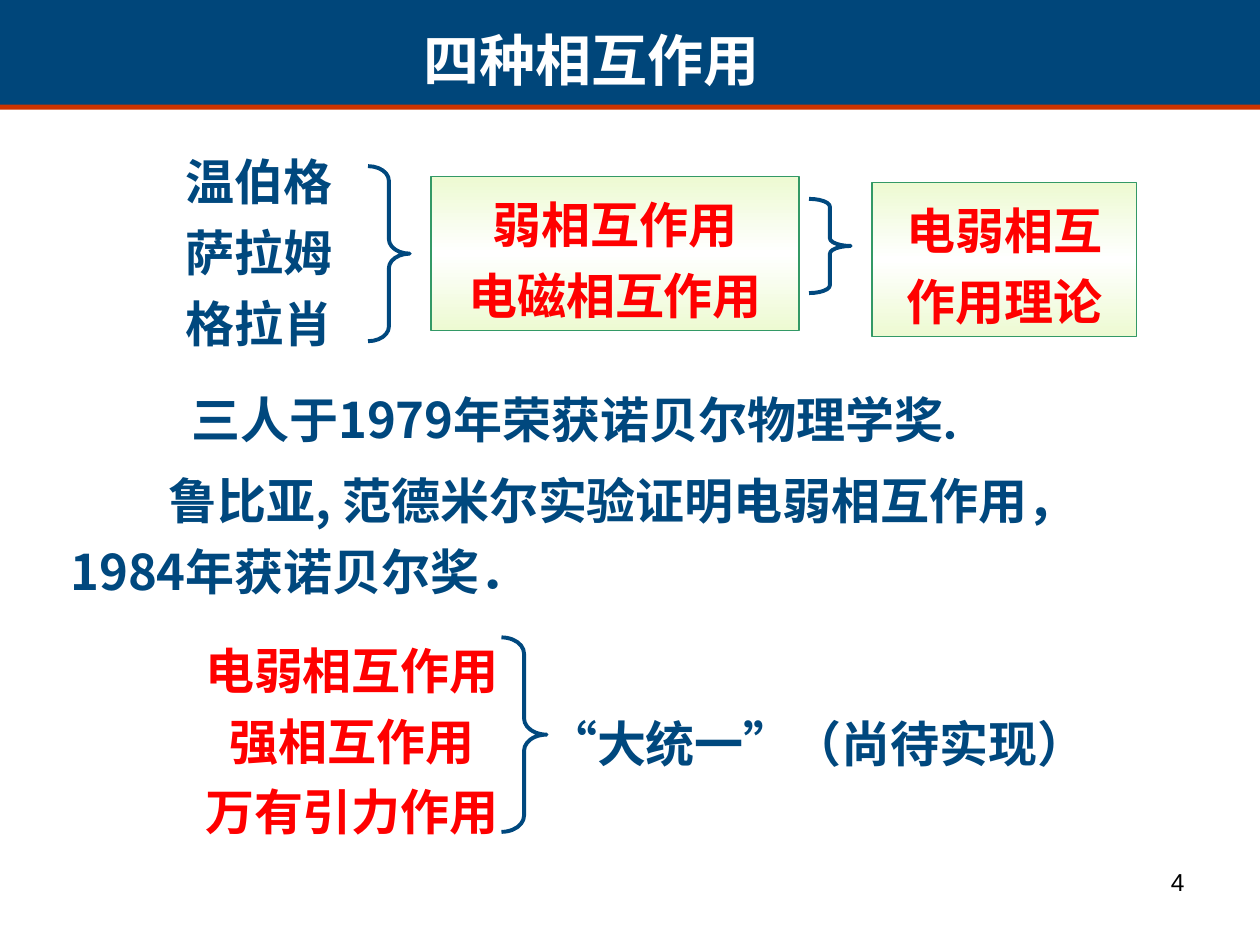
from dataclasses import dataclass
from typing import Optional

from lxml import etree
from pptx import Presentation
from pptx import util as u
from pptx.dml.color import RGBColor
from pptx.enum import shapes, text
from pptx.oxml import ns

NAVY, RED, WHITE, BLACK = "00487E", "FF0000", "FFFFFF", "000000"
PALE, GREEN = "EDFAD2", "339966"
CJK, LATIN_SERIF, LATIN_SANS = "Noto Sans CJK SC", "Times New Roman", "Arial"
LEFT, CENTER, RIGHT = text.PP_ALIGN.LEFT, text.PP_ALIGN.CENTER, text.PP_ALIGN.RIGHT


@dataclass
class Box:
    """Position and size in centimetres."""
    x: float
    y: float
    w: float
    h: float

    def emu(self) -> tuple:
        return tuple(u.Cm(v) for v in (self.x, self.y, self.w, self.h))


@dataclass
class Run:
    text: str
    font: str = CJK


@dataclass
class Block:
    """Paragraphs, each a list of runs, sharing one style."""
    box: Box
    paragraphs: list
    color: str = NAVY
    align: text.PP_ALIGN = LEFT
    size: float = 28
    bold: bool = True
    spacing: Optional[float] = 1.2
    before: float = 0
    inset: bool = True
    indent: float = 0
    framed: bool = False


def rgb(value: str) -> RGBColor:
    return RGBColor.from_string(value)


def lines(*texts: str) -> list:
    return [[Run(t)] for t in texts]


def add_bar(s, box: Box, color: str) -> None:
    sp = s.shapes.add_shape(shapes.MSO_SHAPE.RECTANGLE, *box.emu())
    sp.shadow.inherit = False
    sp.fill.solid()
    sp.fill.fore_color.rgb = rgb(color)
    sp.line.fill.background()


def add_frame(s, box: Box):
    """Green-edged rectangle shading from pale green to white and back."""
    sp = s.shapes.add_shape(shapes.MSO_SHAPE.RECTANGLE, *box.emu())
    sp.shadow.inherit = False
    sp.line.color.rgb = rgb(GREEN)
    sp.line.width = u.Pt(0.75)
    sp.fill.gradient()
    sp.fill.gradient_angle = 270
    stops = sp._element.spPr.find(ns.qn("a:gradFill")).find(ns.qn("a:gsLst"))
    for stop in list(stops):
        stops.remove(stop)
    for percent, color in ((0, PALE), (50, WHITE), (100, PALE)):
        stop = etree.SubElement(stops, ns.qn("a:gs"), pos=str(percent * 1000))
        etree.SubElement(stop, ns.qn("a:srgbClr"), val=color)
    return sp


def add_brace(s, box: Box) -> None:
    """Right brace whose curls are a twelfth of its height."""
    sp = s.shapes.add_shape(shapes.MSO_SHAPE.RIGHT_BRACE, *box.emu())
    sp.shadow.inherit = False
    sp.adjustments[0] = box.h / box.w / 12
    sp.adjustments[1] = 0.5
    sp.fill.background()
    sp.line.color.rgb = rgb(NAVY)
    sp.line.width = u.Pt(2.25)


def add_run(p, run: Run, block: Block) -> None:
    r = p.add_run()
    r.text = run.text
    r.font.size = u.Pt(block.size)
    r.font.bold = block.bold
    r.font.color.rgb = rgb(block.color)
    r.font.name = run.font
    latin = r.font._element.find(ns.qn("a:latin"))
    east_asian = etree.Element(ns.qn("a:ea"), typeface=run.font)
    latin.addnext(east_asian)


def add_block(s, block: Block) -> None:
    sp = add_frame(s, block.box) if block.framed else s.shapes.add_textbox(*block.box.emu())
    tf = sp.text_frame
    tf.word_wrap = True
    tf.vertical_anchor = text.MSO_ANCHOR.TOP
    if not block.inset:
        tf.margin_left = tf.margin_right = tf.margin_top = tf.margin_bottom = 0
    for i, runs in enumerate(block.paragraphs):
        p = tf.add_paragraph() if i else tf.paragraphs[0]
        p.alignment = block.align
        if block.spacing:
            p.line_spacing = block.spacing
        p.space_before = u.Pt(block.before)
        if block.indent:
            p._p.get_or_add_pPr().set("indent", str(u.Cm(block.indent)))
        for run in runs:
            add_run(p, run, block)


BARS = [(Box(0, 2, 25.4, 0.21), "CC3300"), (Box(0, 0, 25.4, 2.11), "00467A")]

BRACES = [
    Box(7.42, 3.35, 0.84, 3.53),
    Box(16.31, 4.01, 0.84, 1.9),
    Box(10.11, 12.85, 0.91, 3.92),
]

BLOCKS = [
    Block(Box(2.74, 0.38, 18.39, 1.63), lines("四种相互作用"), WHITE, CENTER,
          size=32, spacing=None, before=20),
    Block(Box(3.5, 2.7, 5.08, 4.52), lines("温伯格", "萨拉姆", "格拉肖")),
    Block(Box(8.69, 3.56, 7.42, 3.1), lines("弱相互作用", "电磁相互作用"),
          RED, CENTER, framed=True),
    Block(Box(17.58, 3.68, 5.33, 3.1), lines("电弱相互", "作用理论"),
          RED, CENTER, framed=True),
    Block(Box(3.61, 7.49, 19.3, 1.68),
          [[Run("三人于1979年荣获诺贝尔物理学奖"), Run("．", LATIN_SERIF)]]),
    Block(Box(1.42, 9.25, 21, 2.84),
          lines("鲁比亚, 范德米尔实验证明电弱相互作用，1984年获诺贝尔奖．"),
          inset=False, indent=1.98),
    Block(Box(2.97, 12.55, 8.25, 4.52),
          lines("电弱相互作用", "强相互作用", "万有引力作用"), RED, CENTER),
    Block(Box(11.05, 14.15, 12.8, 1.42), lines("“大统一”（尚待实现）"), inset=False),
    Block(Box(18.21, 17.35, 5.92, 1.32), [[Run("4", LATIN_SANS)]], BLACK, RIGHT,
          size=14, bold=False, spacing=None),
]


def main() -> None:
    prs = Presentation()
    prs.slide_width, prs.slide_height = u.Cm(25.4), u.Cm(19.05)
    s = prs.slides.add_slide(prs.slide_layouts[6])
    for box, color in BARS:
        add_bar(s, box, color)
    for block in BLOCKS:
        add_block(s, block)
    for box in BRACES:
        add_brace(s, box)
    prs.save("out.pptx")


if __name__ == "__main__":
    main()
